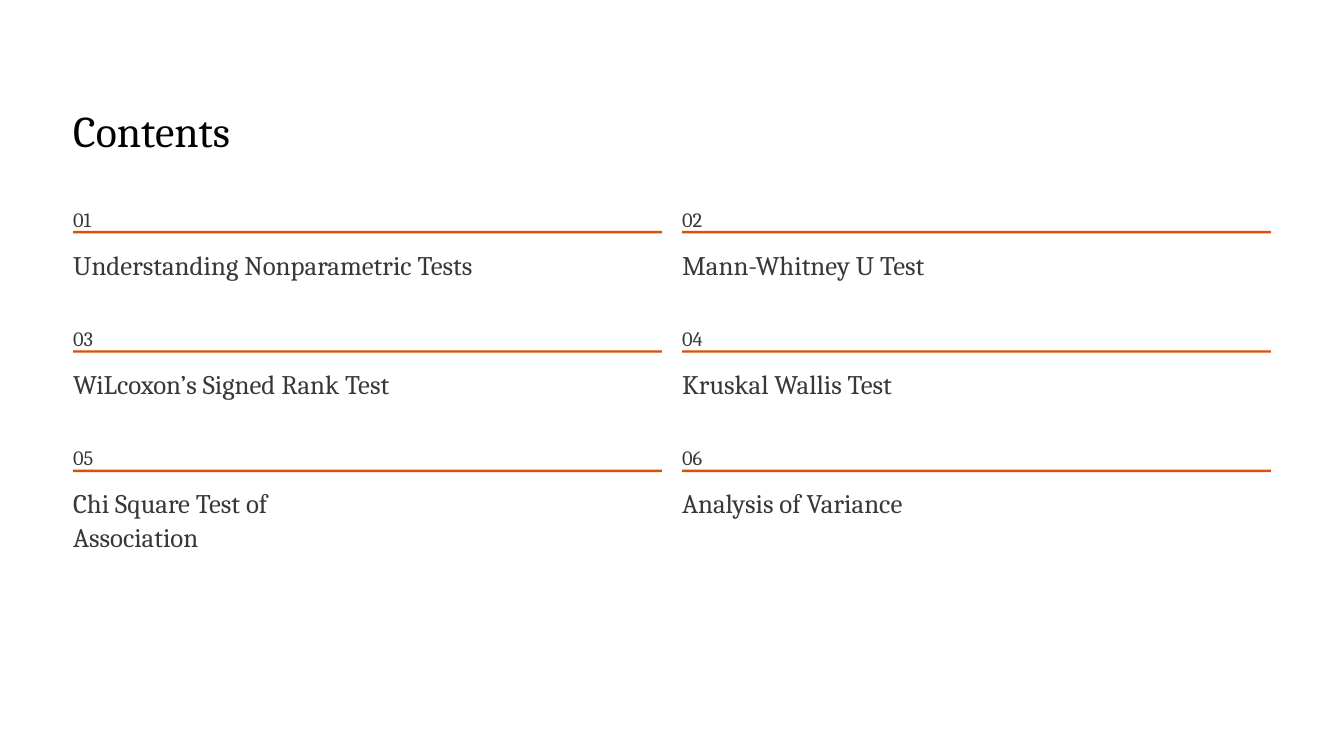
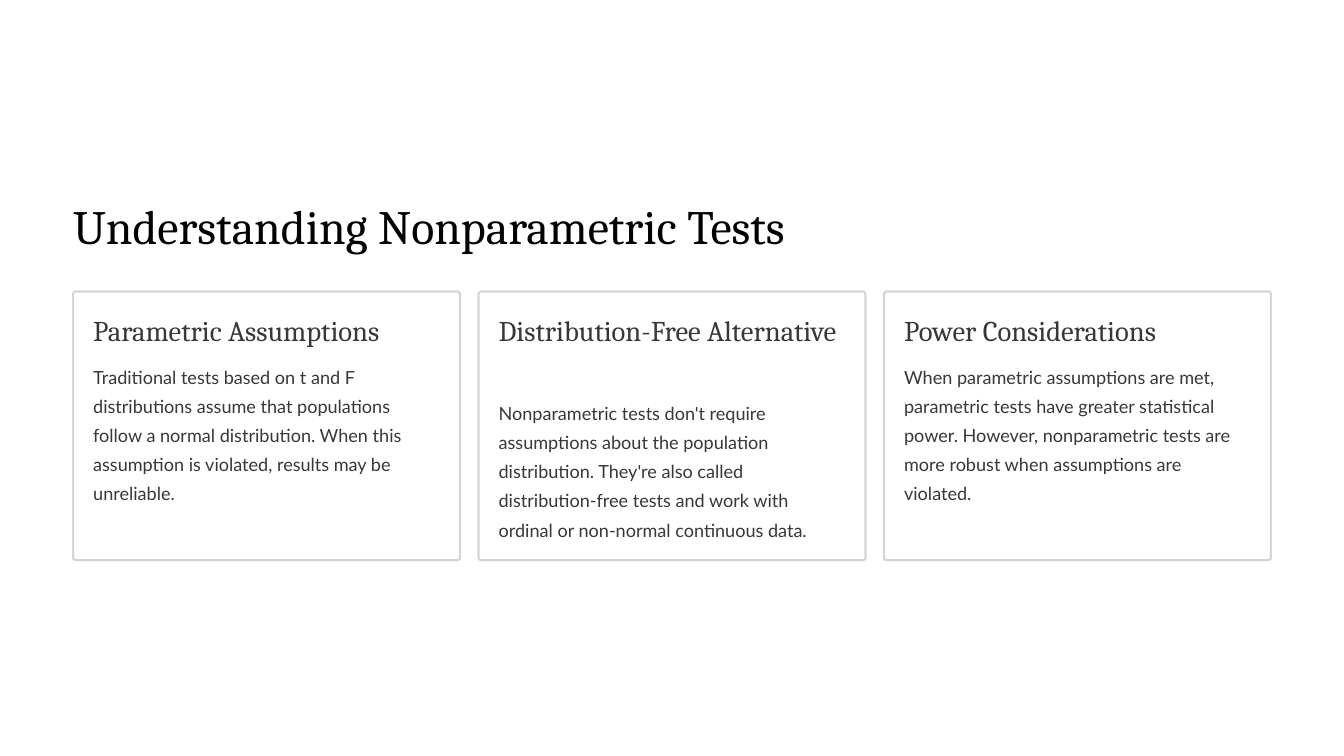
from pptx import Presentation, util as u
from pptx.dml.color import RGBColor
from pptx.enum import shapes, text

WIDE, HIGH = 16, 9
EDGE = 0.87  # left and right margin

# Text styles: font, size, colour, line pitch
STYLES = {
    "title": ("Cambria", 37.5, "020202", 46.5),
    "head": ("Cambria", 41, "020202", 51),
    "num": ("Cambria", 17.5, "383838", 28.5),
    "item": ("Cambria", 23, "383838", 29),
    "card": ("Cambria", 24.5, "383838", 30.5),
    "body": ("Lato", 15.5, "383838", 25),
}
ACCENT, BORDER, WHITE = "E04F00", "D8D4D4", "FFFFFF"

TOPICS = [  # wording and box width
    ("Understanding Nonparametric Tests", 4.78),
    ("Mann-Whitney U Test", 4.19),
    ("WiLcoxon’s Signed Rank Test", 4.29),
    ("Kruskal Wallis Test", 4.2),
    ("Chi Square Test of Association", 3.26),
    ("Analysis of Variance", 3.26),
]
CARDS = [  # heading, its width and row count, body
    ("Parametric Assumptions", 3.72, 1,
     "Traditional tests based on t and F distributions assume that "
     "populations follow a normal distribution. When this assumption is "
     "violated, results may be unreliable."),
    ("Distribution-Free Alternative", 4.13, 2,
     "Nonparametric tests don't require assumptions about the population "
     "distribution. They're also called distribution-free tests and work "
     "with ordinal or non-normal continuous data."),
    ("Power Considerations", 3.42, 1,
     "When parametric assumptions are met, parametric tests have greater "
     "statistical power. However, nonparametric tests are more robust when "
     "assumptions are violated."),
]


def tint(code):
    return RGBColor.from_string(code)


def cols(count, gap):
    """Column width and left edges of an even grid between the margins."""
    wide = (WIDE - 2 * EDGE - gap * (count - 1)) / count
    return wide, [EDGE + n * (wide + gap) for n in range(count)]


class Deck:
    def __init__(self):
        self.prs = Presentation()
        self.prs.slide_width = u.Inches(WIDE)
        self.prs.slide_height = u.Inches(HIGH)

    def page(self):
        self.slide = self.prs.slides.add_slide(self.prs.slide_layouts[6])
        fill = self.slide.background.fill
        fill.solid()
        fill.fore_color.rgb = tint(WHITE)

    def words(self, copy, style, *area, wrap=False):
        box = self.slide.shapes.add_textbox(*map(u.Inches, area))
        frame = box.text_frame
        form = dict.fromkeys(("margin_left", "margin_top", "margin_right",
                              "margin_bottom"), 0)
        form.update(word_wrap=wrap, vertical_anchor=text.MSO_ANCHOR.TOP)
        for key, val in form.items():
            setattr(frame, key, val)
        name, size, code, pitch = STYLES[style]
        para = frame.paragraphs[0]
        para.alignment = text.PP_ALIGN.LEFT
        para.line_spacing = u.Pt(pitch)
        run = para.add_run()
        run.text = copy
        for key, val in {"name": name, "size": u.Pt(size)}.items():
            setattr(run.font, key, val)
        run.font.color.rgb = tint(code)

    def block(self, kind, fill, *area, line=None):
        box = self.slide.shapes.add_shape(kind, *map(u.Inches, area))
        box.shadow.inherit = False
        box.fill.solid()
        box.fill.fore_color.rgb = tint(fill)
        if line:
            box.line.color.rgb = tint(line)
            box.line.width = u.Pt(1.8)
        else:
            box.line.fill.background()
        return box

    def topic(self, num, copy, left, top, wide, span):
        self.words(f"{num:02}", "num", left, top, 0.25, 0.31)
        self.block(shapes.MSO_SHAPE.RECTANGLE, ACCENT,
                   left, top + 0.39, wide, 0.03)
        self.words(copy, "item", left, top + 0.58, span, 0.41)

    def card(self, head, span, rows, body, left, top, wide):
        box = self.block(shapes.MSO_SHAPE.ROUNDED_RECTANGLE, WHITE,
                         left, top, wide, 3.2, line=BORDER)
        box.adjustments[0] = 0.01
        pad, tall = 0.24, 0.43 * rows
        left, top = left + pad, top + pad
        self.words(head, "card", left, top, span, tall, wrap=rows > 1)
        self.words(body, "body", left, top + tall + 0.13,
                   wide - 2 * pad, 1.74, wrap=True)


def main():
    deck = Deck()

    # Contents: two columns, filled row by row
    deck.page()
    deck.words("Contents", "title", EDGE, 1.21, 5.21, 0.65)
    wide, lefts = cols(2, 0.24)
    for n, (copy, span) in enumerate(TOPICS):
        row, col = divmod(n, 2)
        deck.topic(n + 1, copy, lefts[col], 2.36 + 1.42 * row, wide, span)

    # First topic: three cards
    deck.page()
    deck.words(TOPICS[0][0], "head", EDGE, 2.32, 9.17, 0.71)
    wide, lefts = cols(3, 0.22)
    for left, card in zip(lefts, CARDS):
        deck.card(*card, left, 3.47, wide)

    deck.prs.save("out.pptx")


if __name__ == "__main__":
    main()
